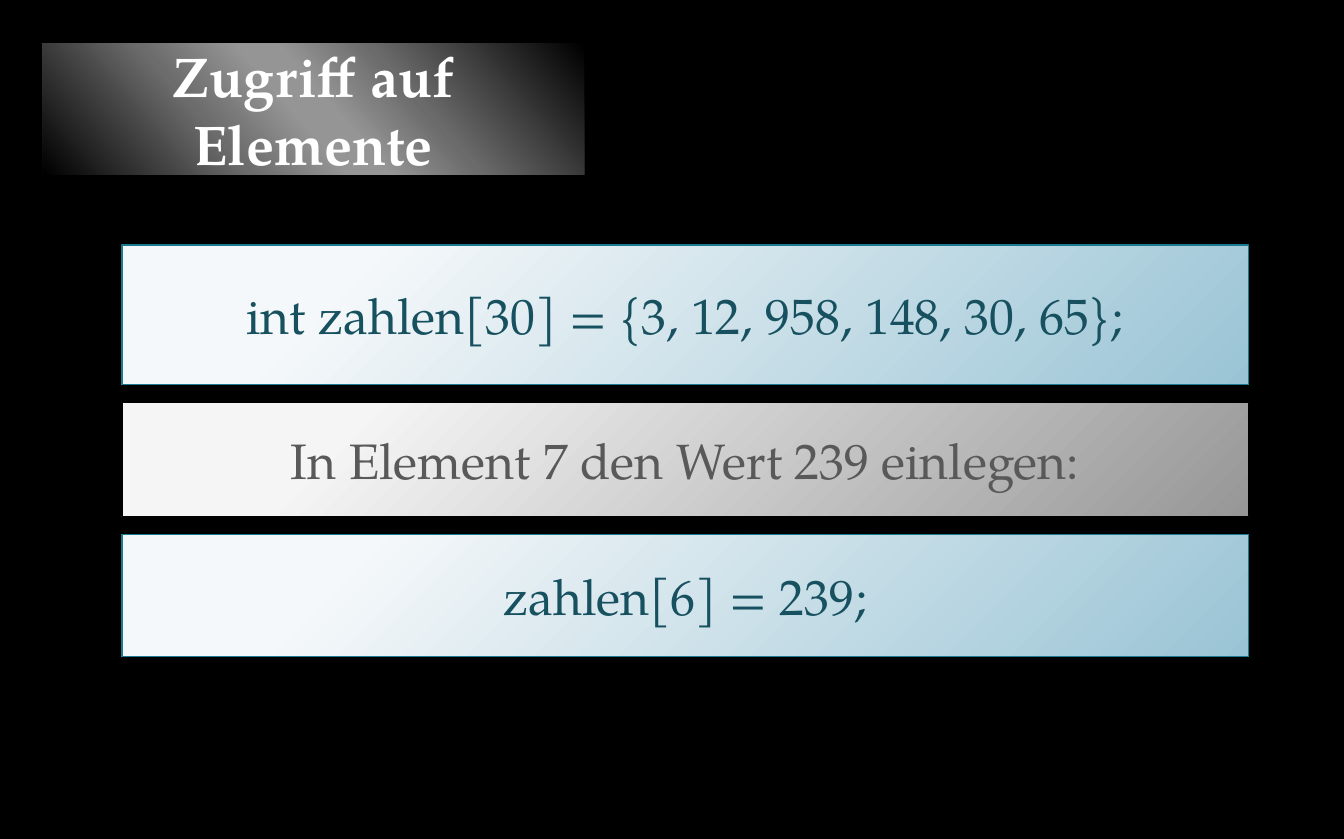
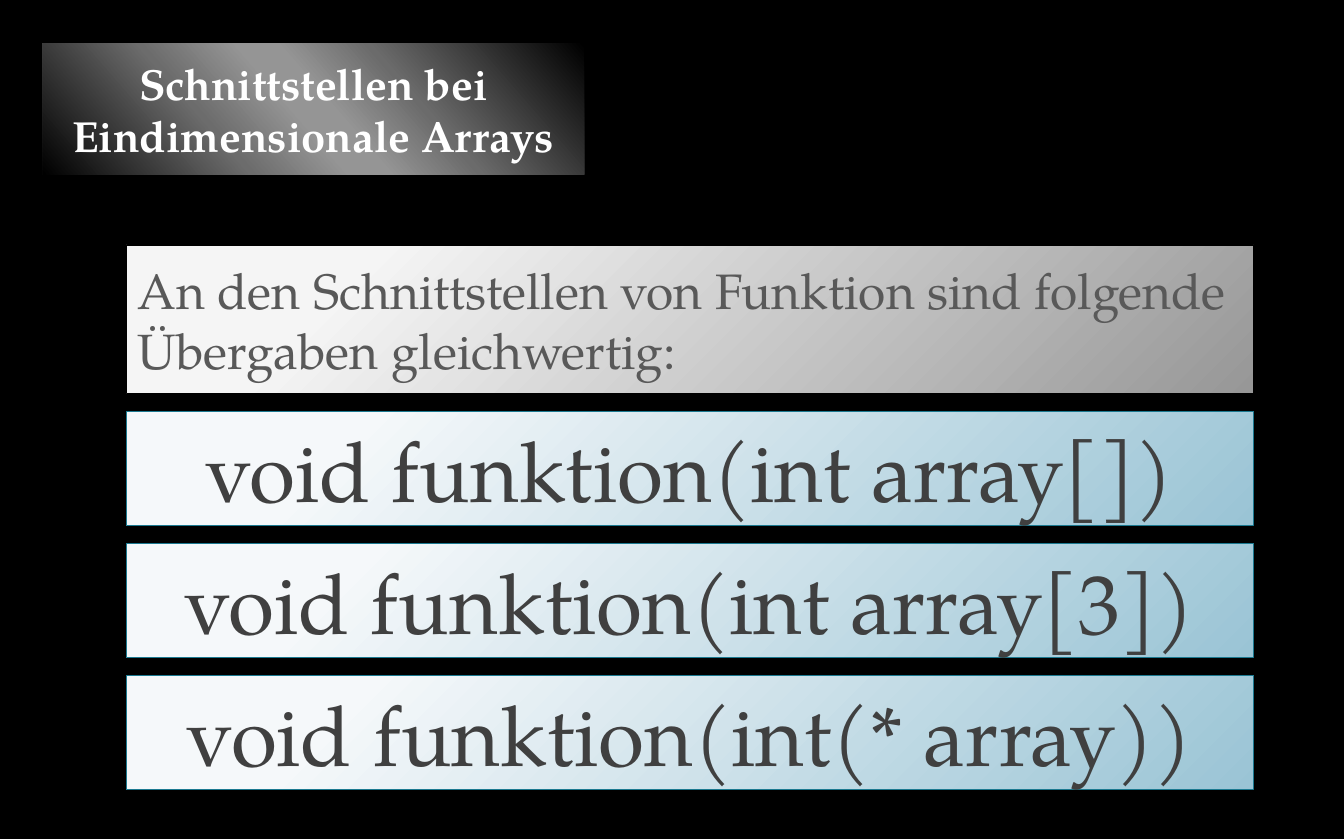
from dataclasses import dataclass

from pptx import Presentation
from pptx.dml.color import RGBColor
from pptx.enum.shapes import MSO_SHAPE
from pptx.enum.text import MSO_ANCHOR, MSO_AUTO_SIZE, PP_ALIGN
from pptx.oxml import parse_xml
from pptx.oxml.ns import nsdecls
from pptx.util import Inches, Pt

FONT = "TeX Gyre Pagella"
BLACK, WHITE = "000000", "FFFFFF"
TEAL, GREY, CHARCOAL = "175160", "595959", "404040"

# Shared measures, in inches
TITLE_BOX = (0.38, 0.39, 4.84, 1.17)
BARS_TOP, BAR_WIDTH, BAR_GAP = 2.19, 10.07, 0.16

# Gradient directions
DIAGONAL = '<a:lin ang="8340000" scaled="0"/>'
FROM_CORNER = ('<a:path path="circle"><a:fillToRect l="-15000" t="-15000" '
               'r="115000" b="115000"/></a:path>')
TITLE_STOPS = ((0, BLACK), (33, "6B6B6B"), (47, "959595"),
               (53, "959595"), (68, "6C6C6C"), (100, BLACK))


@dataclass(frozen=True)
class BarStyle:
    stops: tuple
    line: str


@dataclass(frozen=True)
class Bar:
    text: str
    height: float
    style: BarStyle
    size: int
    color: str
    align: PP_ALIGN = PP_ALIGN.CENTER


@dataclass(frozen=True)
class SlideContent:
    title: str
    title_size: int
    left: float
    bars: tuple


CODE = BarStyle(((20, "F5F8FA"), (100, "9AC4D5")), "1B7990")
NOTE = BarStyle(((20, "F5F5F5"), (100, "979797")), BLACK)

SLIDES = (
    SlideContent("Zugriff auf Elemente", 36, 1.09, (
        Bar("int zahlen[30] = {3, 12, 958, 148, 30, 65};", 1.25, CODE, 32, TEAL),
        Bar("In Element 7 den Wert 239 einlegen:", 1.02, NOTE, 32, GREY),
        Bar("zahlen[6] = 239;", 1.09, CODE, 32, TEAL),
    )),
    SlideContent("Schnittstellen bei Eindimensionale Arrays", 28, 1.13, (
        Bar("An den Schnittstellen von Funktion sind folgende Übergaben gleichwertig:",
            1.33, NOTE, 32, GREY, PP_ALIGN.LEFT),
        *(Bar(f"void funktion({argument})", 1.02, CODE, 54, CHARCOAL)
          for argument in ("int array[]", "int array[3]", "int(* array)")),
    )),
)


def rgb(color: str) -> RGBColor:
    return RGBColor.from_string(color)


def add_gradient(sp, stops: tuple, direction: str) -> None:
    """Fill a shape that has no fill yet."""
    stop_xml = "".join(f'<a:gs pos="{pos * 1000}"><a:srgbClr val="{color}"/></a:gs>'
                       for pos, color in stops)
    sp._element.spPr.append(parse_xml(
        f'<a:gradFill {nsdecls("a")} rotWithShape="1">'
        f"<a:gsLst>{stop_xml}</a:gsLst>{direction}</a:gradFill>"))
    sp.shadow.inherit = False


def write(sp, text: str, size: int, color: str, align: PP_ALIGN,
          bold: bool = False) -> None:
    tf = sp.text_frame
    frame_format = {"word_wrap": True, "auto_size": MSO_AUTO_SIZE.NONE,
                    "vertical_anchor": MSO_ANCHOR.MIDDLE}
    for name, value in frame_format.items():
        setattr(tf, name, value)
    p = tf.paragraphs[0]
    p.alignment = align
    r = p.add_run()
    r.text = text
    for name, value in {"name": FONT, "size": Pt(size), "bold": bold}.items():
        setattr(r.font, name, value)
    r.font.color.rgb = rgb(color)


def add_title(slide, text: str, size: int) -> None:
    sp = slide.shapes.title
    for name, value in zip(("left", "top", "width", "height"), TITLE_BOX):
        setattr(sp, name, Inches(value))
    sp._element.spPr.append(parse_xml(
        f'<a:prstGeom {nsdecls("a")} prst="roundRect"><a:avLst/></a:prstGeom>'))
    add_gradient(sp, TITLE_STOPS, DIAGONAL)
    write(sp, text, size, WHITE, PP_ALIGN.CENTER, bold=True)


def add_bar(slide, bar: Bar, left: float, top: float) -> None:
    sp = slide.shapes.add_shape(MSO_SHAPE.RECTANGLE, Inches(left), Inches(top),
                                Inches(BAR_WIDTH), Inches(bar.height))
    add_gradient(sp, bar.style.stops, FROM_CORNER)
    sp.line.color.rgb = rgb(bar.style.line)
    sp.line.width = Pt(0.75)
    write(sp, bar.text, bar.size, bar.color, bar.align)


def main() -> None:
    prs = Presentation()
    prs.slide_width, prs.slide_height = Inches(12.01), Inches(7.5)

    # Black background for every slide
    background = prs.slide_master.background.fill
    background.solid()
    background.fore_color.rgb = rgb(BLACK)

    title_only = prs.slide_layouts[5]
    for content in SLIDES:
        slide = prs.slides.add_slide(title_only)
        add_title(slide, content.title, content.title_size)
        # Bars stacked with equal gaps
        top = BARS_TOP
        for bar in content.bars:
            add_bar(slide, bar, content.left, top)
            top += bar.height + BAR_GAP
    prs.save("out.pptx")


if __name__ == "__main__":
    main()
